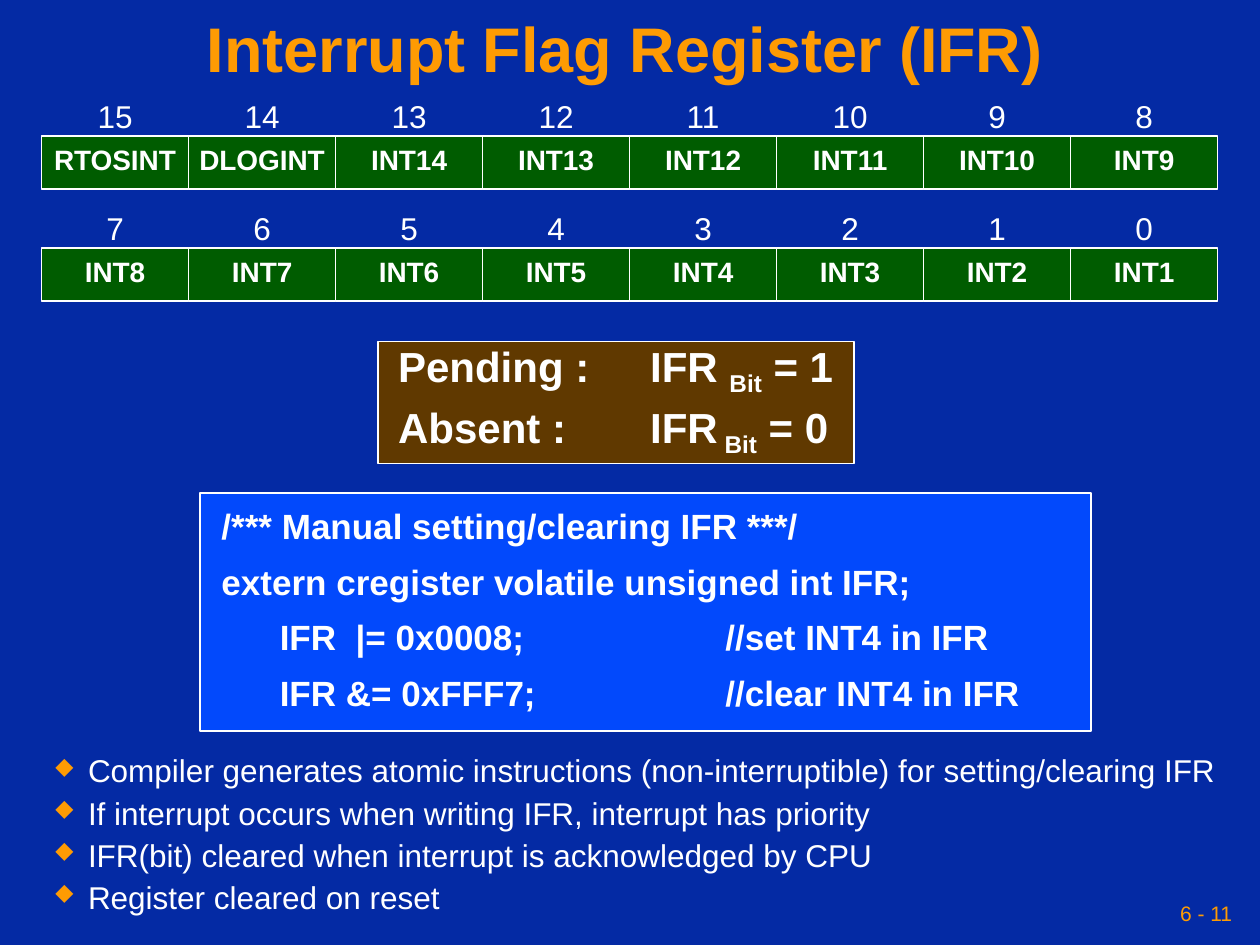
from lxml import etree
from pptx import Presentation
from pptx.dml.color import RGBColor
from pptx.enum.shapes import MSO_SHAPE
from pptx.enum.text import MSO_ANCHOR, MSO_AUTO_SIZE, PP_ALIGN
from pptx.oxml.ns import qn
from pptx.util import Inches, Pt

RECTANGLE = MSO_SHAPE.RECTANGLE
TOP, MIDDLE = MSO_ANCHOR.TOP, MSO_ANCHOR.MIDDLE
LEFT, CENTER, RIGHT = PP_ALIGN.LEFT, PP_ALIGN.CENTER, PP_ALIGN.RIGHT
FIXED, GROW = MSO_AUTO_SIZE.NONE, MSO_AUTO_SIZE.SHAPE_TO_FIT_TEXT

COLORS = {
    "background": "042AA4",
    "accent": "FE9B03",
    "text": "FFFFFF",
    "register": "005C00",
    "states": "603900",
    "code": "0249FC",
}
FONT = "Arial"
REGISTER_LEFT = 0.33
BIT_WIDTH = 3.5 / 3
BIT_HEIGHT = 0.42
REGISTER_ROWS = [
    (1.08, 15, ["RTOSINT", "DLOGINT", "INT14", "INT13", "INT12", "INT11", "INT10", "INT9"]),
    (1.97, 7, ["INT8", "INT7", "INT6", "INT5", "INT4", "INT3", "INT2", "INT1"]),
]
STATES = [
    [("Pending :\tIFR ", False), ("Bit", True), (" = 1", False)],
    [("Absent :\tIFR", False), (" Bit", True), (" = 0", False)],
]
CODE = [
    "/*** Manual setting/clearing IFR ***/",
    "extern cregister volatile unsigned int IFR;",
    "      IFR  |= 0x0008;\t\t//set INT4 in IFR",
    "      IFR &= 0xFFF7;\t\t//clear INT4 in IFR",
]
NOTES = [
    "Compiler generates atomic instructions (non-interruptible) for setting/clearing IFR",
    "If interrupt occurs when writing IFR, interrupt has priority",
    "IFR(bit) cleared when interrupt is acknowledged by CPU",
    "Register cleared on reset",
]


def rgb(name):
    """Return the named colour."""
    return RGBColor.from_string(COLORS[name])


def add_bullet(paragraph):
    """Give a paragraph a hanging diamond bullet."""
    properties = paragraph._p.get_or_add_pPr()
    properties.set("marL", str(Inches(0.26)))
    properties.set("indent", str(-Inches(0.26)))
    bullet_color = etree.SubElement(properties, qn("a:buClr"))
    etree.SubElement(bullet_color, qn("a:srgbClr"), val=COLORS["accent"])
    etree.SubElement(properties, qn("a:buSzPct"), val="75000")
    etree.SubElement(properties, qn("a:buChar"), char="◆")


def add_tabs(paragraph, stops):
    """Add left tab stops, given in inches, to a paragraph."""
    tabs = etree.SubElement(paragraph._p.get_or_add_pPr(), qn("a:tabLst"))
    for stop in stops:
        etree.SubElement(tabs, qn("a:tab"), pos=str(Inches(stop)), algn="l")


def write_text(frame, lines, size, color="text", bold=False, align=LEFT, anchor=TOP,
               spacing=1.0, before=0, margins=(0.1, 0.1), wrap=False, fit=FIXED,
               bullets=False, tabs=()):
    """Fill a text frame with lines, each a string or (text, subscript) pairs."""
    frame.auto_size = fit
    frame.word_wrap = wrap
    frame.vertical_anchor = anchor
    frame.margin_left, frame.margin_right = map(Inches, margins)
    frame.margin_top = frame.margin_bottom = Inches(0.05)
    for index, line in enumerate(lines):
        paragraph = frame.add_paragraph() if index else frame.paragraphs[0]
        if bullets:
            add_bullet(paragraph)
        if tabs:
            add_tabs(paragraph, tabs)
        paragraph.alignment = align
        paragraph.line_spacing = spacing
        paragraph.space_before = Pt(before if index else 0)
        for text, subscript in [(line, False)] if isinstance(line, str) else line:
            run = paragraph.add_run()
            run.text = text
            run.font.name = FONT
            run.font.size = Pt(size)
            run.font.bold = bold
            run.font.color.rgb = rgb(color)
            if subscript:
                run._r.get_or_add_rPr().set("baseline", "-25000")


def add_panel(slide, left, top, width, height, fill):
    """Add a filled rectangle with a thin white outline."""
    panel = slide.shapes.add_shape(
        RECTANGLE, Inches(left), Inches(top), Inches(width), Inches(height))
    panel.shadow.inherit = False
    panel.fill.solid()
    panel.fill.fore_color.rgb = rgb(fill)
    panel.line.color.rgb = rgb("text")
    panel.line.width = Pt(1)
    return panel


def add_label(slide, left, top, width, height, lines, **text_format):
    """Add a text box holding formatted lines."""
    label = slide.shapes.add_textbox(
        Inches(left), Inches(top), Inches(width), Inches(height))
    write_text(label.text_frame, lines, **text_format)


def add_title(slide, text):
    """Place and format the title."""
    title = slide.shapes.title
    title.left, title.top = Inches(0), Inches(0)
    title.width, title.height = Inches(9.92), Inches(0.83)
    write_text(title.text_frame, [text], size=36, color="accent", bold=True,
               align=CENTER, anchor=MIDDLE, spacing=0.9, margins=(0.05, 0.05),
               wrap=True)


def add_register_row(slide, top, high_bit, names):
    """Draw a row of register bits with their numbers above."""
    for column, name in enumerate(names):
        left = REGISTER_LEFT + column * BIT_WIDTH
        bit = add_panel(slide, left, top, BIT_WIDTH, BIT_HEIGHT, "register")
        write_text(bit.text_frame, [name], size=16, bold=True, align=CENTER,
                   anchor=MIDDLE, spacing=0.8)
        number = str(high_bit - column)
        number_width = 0.2 + 0.14 * len(number)
        add_label(slide, left + (BIT_WIDTH - number_width) / 2, top - 0.3,
                  number_width, 0.34, [number], size=18, align=CENTER,
                  spacing=0.8, fit=GROW)


def main():
    """Build the slide and save it."""
    deck = Presentation()
    deck.slide_width, deck.slide_height = Inches(10), Inches(7.5)
    slide = deck.slides.add_slide(deck.slide_layouts[5])
    slide.background.fill.solid()
    slide.background.fill.fore_color.rgb = rgb("background")

    add_title(slide, "Interrupt Flag Register (IFR)")
    for top, high_bit, names in REGISTER_ROWS:
        add_register_row(slide, top, high_bit, names)

    states = add_panel(slide, 3, 2.71, 3.78, 0.97, "states")
    write_text(states.text_frame, STATES, size=24, bold=True, anchor=MIDDLE,
               spacing=0.6, before=15, margins=(0.16, 0.04), tabs=[2])

    add_label(slide, 0.34, 6.02, 9.55, 1.29, NOTES, size=18, spacing=0.6,
              before=11.2, wrap=True, bullets=True)

    add_panel(slide, 1.59, 3.91, 7.07, 1.89, "code")
    add_label(slide, 1.66, 4.02, 6.8, 1.69, CODE, size=20, bold=True,
              spacing=0.8, before=12.5, wrap=True, tabs=[3, 4])

    add_label(slide, 6.83, 7.08, 3, 0.33, ["6 - 11"], size=12, color="accent",
              align=RIGHT, anchor=MIDDLE, margins=(0.05, 0.05), wrap=True)
    deck.save("out.pptx")


if __name__ == "__main__":
    main()
